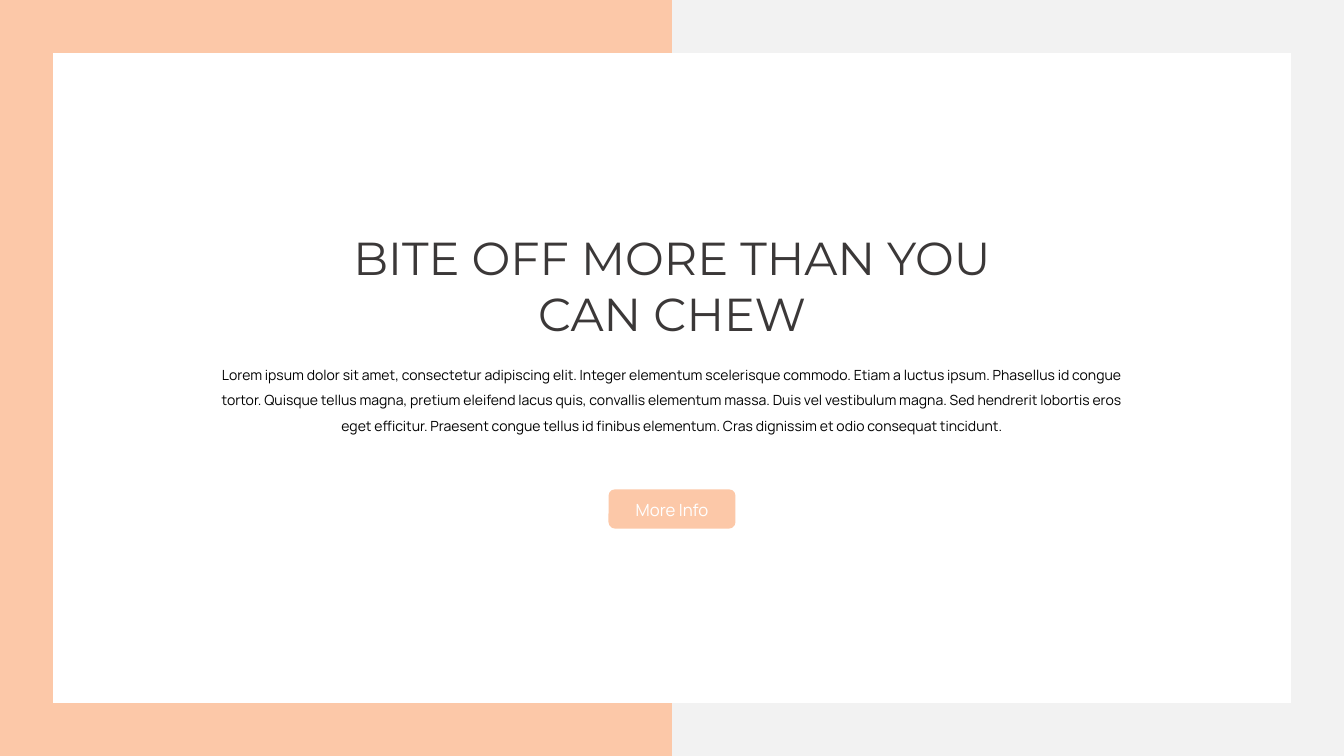
from lxml.etree import SubElement
from pptx import Presentation
from pptx.dml.color import RGBColor
from pptx.enum.shapes import MSO_SHAPE
from pptx.enum.text import MSO_AUTO_SIZE, PP_ALIGN
from pptx.oxml.ns import qn
from pptx.util import Pt

WIDE, HIGH, BAND = 1920, 1080, 75.6
PEACH, GREY, WHITE = "FCC8A8", "F2F2F2", "FFFFFF"
TITLE = "BITE OFF MORE THAN YOU CAN CHEW"
BODY = (
    "Lorem ipsum dolor sit amet, consectetur adipiscing elit. "
    "Integer elementum scelerisque commodo. Etiam a luctus ipsum. "
    "Phasellus id congue tortor. Quisque tellus magna, pretium eleifend "
    "lacus quis, convallis elementum massa. Duis vel vestibulum magna. "
    "Sed hendrerit lobortis eros eget efficitur. Praesent congue tellus "
    "id finibus elementum. Cras dignissim et odio consequat tincidunt."
)


def paint(fill, color):
    fill.solid()
    fill.fore_color.rgb = RGBColor.from_string(color)


def add_block(shapes, box, color, kind=MSO_SHAPE.RECTANGLE):
    block = shapes.add_shape(kind, *map(Pt, box))
    block.shadow.inherit = False
    paint(block.fill, color)
    block.line.fill.background()
    return block


def add_text(shapes, box, text, font, size, color, lead=None):
    frame = shapes.add_textbox(*map(Pt, box)).text_frame
    frame.word_wrap = True
    frame.auto_size = MSO_AUTO_SIZE.SHAPE_TO_FIT_TEXT
    para = frame.paragraphs[0]
    para.alignment = PP_ALIGN.CENTER
    para.line_spacing = lead
    run = para.add_run()
    run.text = text
    run.font.name = font
    run.font.size = Pt(size)
    paint(run.font.fill, color)


def add_panel(shapes, box):
    panel = add_block(shapes, box, WHITE)
    tint = panel.fill._xPr.find(qn("a:solidFill"))[0]
    SubElement(tint, qn("a:alpha"), val="75000")


def add_frame(shapes, box, color, side):
    left, top, width, height = box
    group = shapes.add_group_shape().shapes
    for y in (top, top + height - BAND):
        add_block(group, (left, y, width, BAND), color)
    add_block(group, (side, top + BAND, BAND, height - 2 * BAND), color)


def add_copy(shapes, box):
    left, top, width, height = box
    mid = left + width / 2
    add_text(shapes, (mid - 471.6, top, 943.2, 167),
             TITLE, "Montserrat", 66, "3B3838")
    add_text(shapes, (left, top + 183.6, width, height - 183.6),
             BODY, "Manrope", 20, "000000", 1.5)


def add_button(shapes, box):
    left, top, width, height = box
    add_block(shapes, box, PEACH, MSO_SHAPE.ROUNDED_RECTANGLE)
    add_text(shapes, (left, top + 10.8, width, 36),
             "More Info", "Manrope", 24, WHITE)


def main():
    deck = Presentation()
    deck.slide_width, deck.slide_height = Pt(WIDE), Pt(HIGH)
    slide = deck.slides.add_slide(deck.slide_layouts[6])
    paint(slide.background.fill, WHITE)
    shapes = slide.shapes
    half = WIDE / 2
    add_panel(shapes, (150, 150, WIDE - 300, HIGH - 300))
    add_frame(shapes, (0, 0, half, HIGH), PEACH, 0)
    add_frame(shapes, (half, 0, half, HIGH), GREY, WIDE - BAND)
    add_copy(shapes, (half - 658, 324.7, 1316, 300.3))
    add_button(shapes, (half - 90.7, 699, 181.4, 56.2))
    deck.save("out.pptx")


if __name__ == "__main__":
    main()
